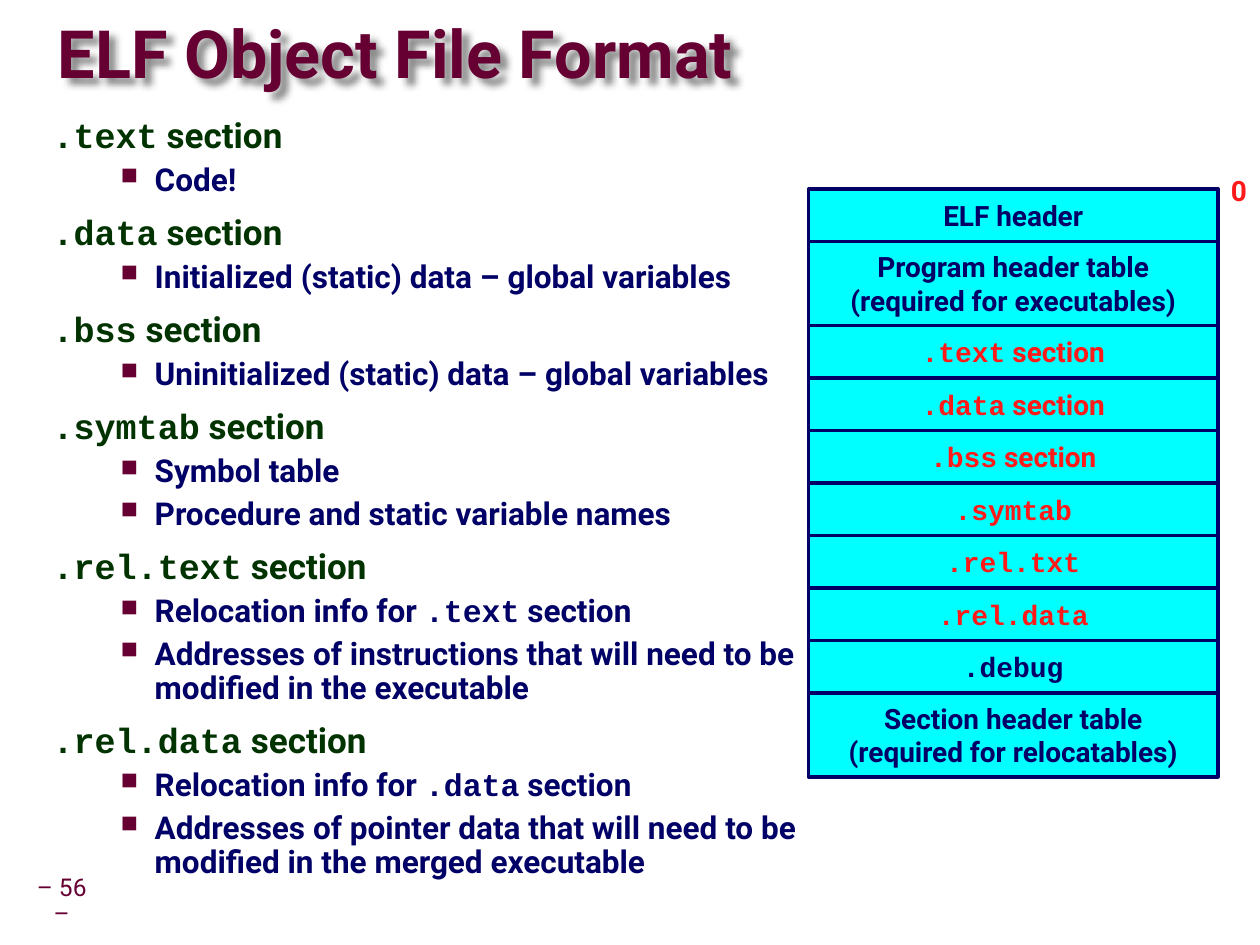
from lxml.etree import SubElement
from pptx import Presentation
from pptx.dml.color import RGBColor as RGB
from pptx.enum.shapes import MSO_SHAPE as SHAPE
from pptx.enum.text import MSO_ANCHOR as ANCHOR, PP_ALIGN as ALIGN
from pptx.oxml.ns import qn
from pptx.util import Inches, Pt

INK = {"wine": "660033", "green": "003300", "navy": "000066",
       "red": "FF1A1A", "cyan": "00FFFF", "black": "000000"}
SANS, MONO = "Roboto", "Courier New"
UNIT = 1 / 12
LEFT, TOP, WIDE = 77, 18, 39

TOPICS = [
    ("`.text` section", ["Code!"]),
    ("`.data` section", ["Initialized (static) data – global variables"]),
    ("`.bss` section", ["Uninitialized (static) data – global variables"]),
    ("`.symtab` section", ["Symbol table", "Procedure and static variable names"]),
    ("`.rel.text` section", [
        "Relocation info for `.text` section",
        "Addresses of instructions that will need to be modified in the executable"]),
    ("`.rel.data` section", [
        "Relocation info for `.data` section",
        "Addresses of pointer data that will need to be modified in the merged executable"]),
]
PARTS = [
    (["ELF header"], "navy"),
    (["Program header table", "(required for executables)"], "navy"),
    (["`.text` section"], "red"),
    (["`.data` section"], "red"),
    (["`.bss` section"], "red"),
    (["`.symtab`"], "red"),
    (["`.rel.txt`"], "red"),
    (["`.rel.data`"], "red"),
    (["`.debug`"], "navy"),
    (["Section header table", "(required for relocatables)"], "navy"),
]


def color(name):
    """Return the named colour."""
    return RGB.from_string(INK[name])


def write(para, text, size, ink, bold=True):
    """Fill a paragraph, with the words between backticks in the code font."""
    for i, piece in enumerate(text.split("`")):
        if piece:
            run = para.add_run()
            run.text = piece
            font = run.font
            font.name = MONO if i % 2 else SANS
            font.size, font.bold = Pt(size), bold
            font.color.rgb = color(ink)


def next_para(frame, first):
    """Return the first paragraph of a frame, or a new one."""
    return frame.paragraphs[0] if first else frame.add_paragraph()


def add_text(slide, box, pad=(0.1, 0.05), wrap=True, anchor=ANCHOR.TOP):
    """Add an empty text box."""
    shape = slide.shapes.add_textbox(*map(Inches, box))
    frame = shape.text_frame
    frame.word_wrap, frame.vertical_anchor = wrap, anchor
    frame.margin_left = frame.margin_right = Inches(pad[0])
    frame.margin_top = frame.margin_bottom = Inches(pad[1])
    return shape


def add_glow(shape):
    """Give the text of a box a soft shadow."""
    fx = SubElement(shape.element.spPr, qn("a:effectLst"))
    drop = SubElement(fx, qn("a:outerShdw"), blurRad=str(Pt(4)), dist=str(Pt(5)),
                      dir="2700000", algn="tl", rotWithShape="0")
    tint = SubElement(drop, qn("a:srgbClr"), val=INK["black"])
    SubElement(tint, qn("a:alpha"), val="45000")


def indent(para, left, hang):
    """Set a hanging indent and return the paragraph properties."""
    props = para._p.get_or_add_pPr()
    props.set("marL", str(Inches(left)))
    props.set("indent", str(-Inches(hang)))
    return props


def add_bullet(para):
    """Turn a paragraph into a square-bulleted item."""
    props = indent(para, 0.81, 0.27)
    props.set("lvl", "1")
    SubElement(SubElement(props, qn("a:buClr")), qn("a:srgbClr"), val=INK["wine"])
    SubElement(props, qn("a:buSzPct"), val="75000")
    SubElement(props, qn("a:buChar"), char="■")


def add_title(slide):
    """Add the title."""
    shape = add_text(slide, (0.46, 0.03, 9.53, 0.85), (0, 0), anchor=ANCHOR.MIDDLE)
    para = shape.text_frame.paragraphs[0]
    para.line_spacing = 0.87
    write(para, "ELF Object File Format", 38, "wine")
    add_glow(shape)


def add_topics(slide):
    """Add the section names and their bulleted notes."""
    frame = add_text(slide, (0.32, 0.9, 6.1, 5.71)).text_frame
    for i, (head, notes) in enumerate(TOPICS):
        para = next_para(frame, i == 0)
        indent(para, 0.42, 0.42)
        para.line_spacing = 0.85
        para.space_before = Pt(10.8 if i else 0)
        write(para, head, 20, "green")
        for note in notes:
            para = frame.add_paragraph()
            add_bullet(para)
            para.line_spacing, para.space_before = 0.9, Pt(4.9)
            write(para, note, 18, "navy")


def add_part(slide, row, lines, ink):
    """Add one block of the file layout and return the row below it."""
    tall = 2 + 3 * len(lines)
    box = (Inches(n * UNIT) for n in (LEFT, row, WIDE, tall))
    shape = slide.shapes.add_shape(SHAPE.RECTANGLE, *box)
    shape.shadow.inherit = False
    shape.fill.solid()
    shape.fill.fore_color.rgb = color("cyan")
    shape.line.color.rgb = color("navy")
    shape.line.width = Pt(2)
    frame = shape.text_frame
    frame.word_wrap, frame.vertical_anchor = False, ANCHOR.MIDDLE
    for i, line in enumerate(lines):
        para = next_para(frame, i == 0)
        para.alignment = ALIGN.CENTER
        write(para, line, 16, ink)
    return row + tall


def add_labels(slide):
    """Add the zero offset and the page number."""
    zero = add_text(slide, (9.67, 1.33, 0.32, 0.37), wrap=False)
    write(zero.text_frame.paragraphs[0], "0", 16, "red")
    page = add_text(slide, (0.24, 7, 0.5, 0.31), (0.05, 0.05), anchor=ANCHOR.MIDDLE)
    para = page.text_frame.paragraphs[0]
    para.alignment, para.line_spacing = ALIGN.CENTER, 0.9
    write(para, "– 56 –", 14, "wine", False)


def main():
    """Build and save the slide."""
    deck = Presentation()
    deck.slide_width, deck.slide_height = Inches(10), Inches(7.5)
    slide = deck.slides.add_slide(deck.slide_layouts[6])
    add_title(slide)
    add_topics(slide)
    row = TOP
    for lines, ink in PARTS:
        row = add_part(slide, row, lines, ink)
    add_labels(slide)
    deck.save("out.pptx")


if __name__ == "__main__":
    main()
